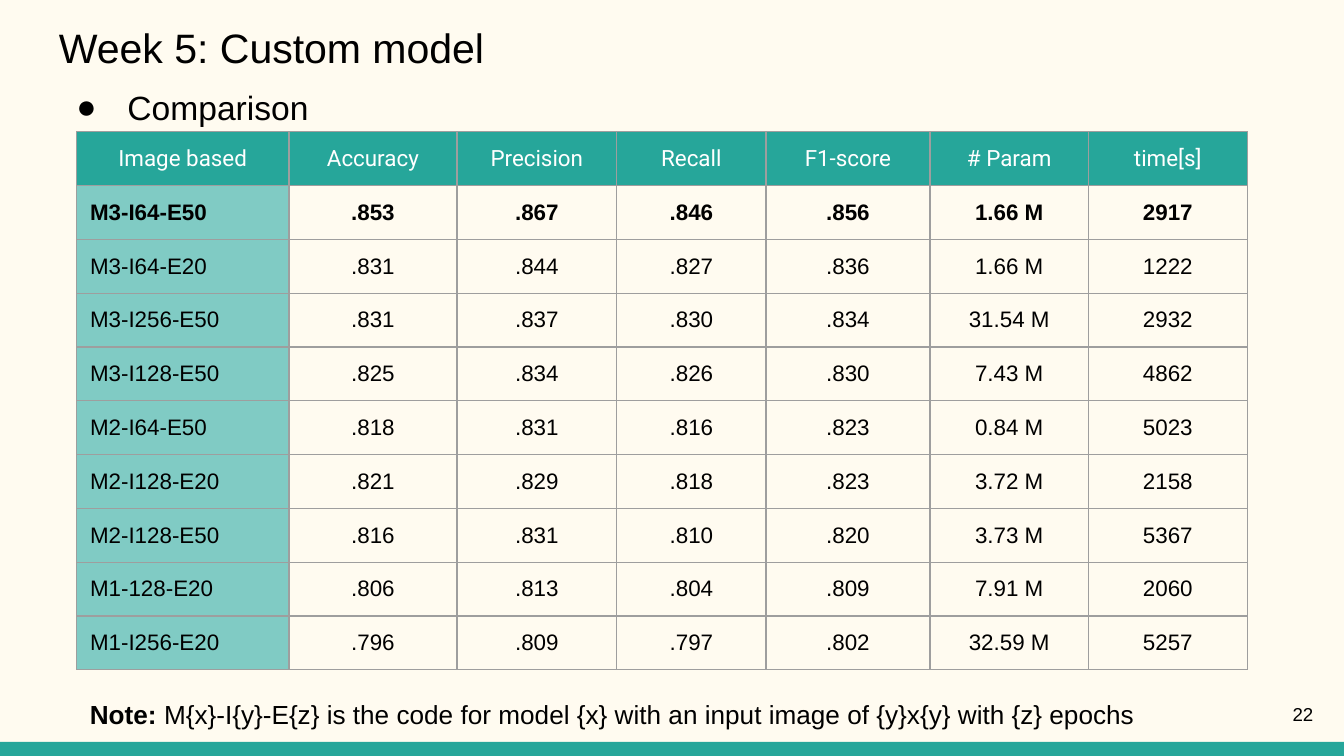
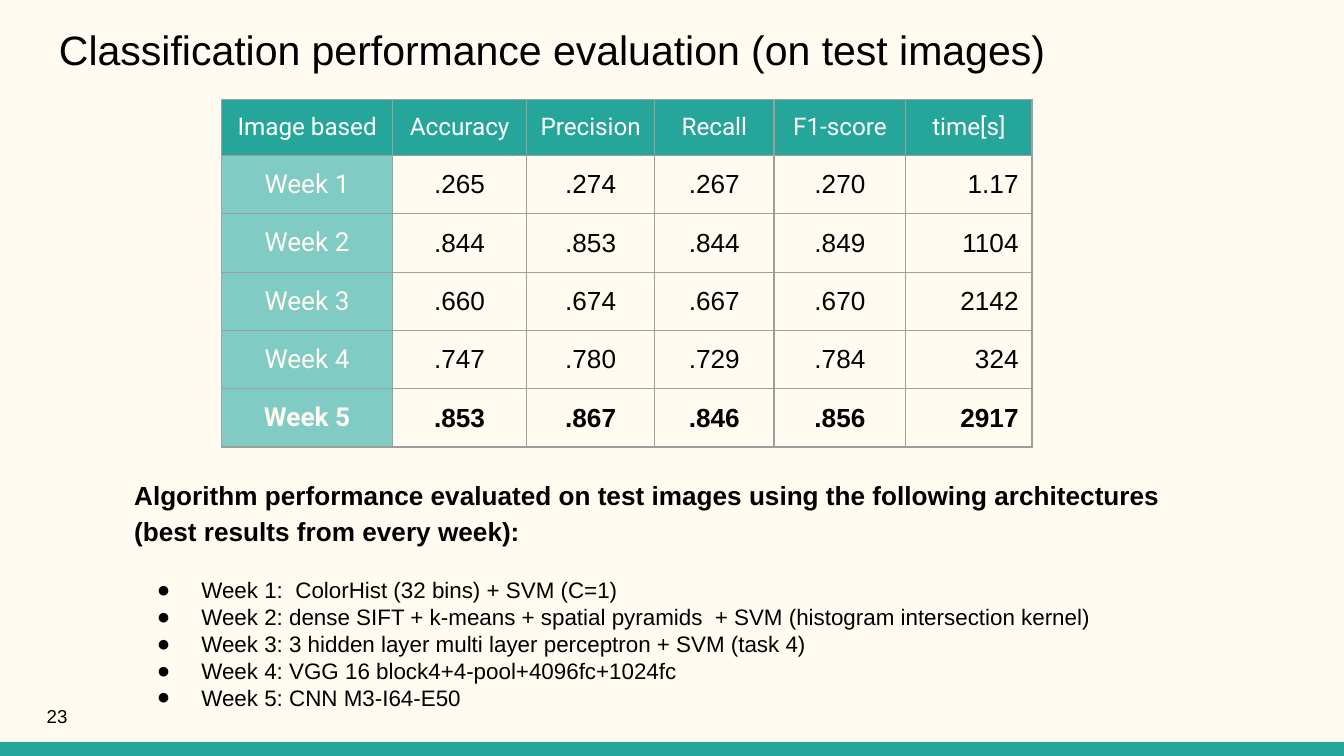
from lxml import etree
from pptx import Presentation
from pptx.dml.color import RGBColor
from pptx.enum.shapes import MSO_SHAPE
from pptx.enum.text import MSO_ANCHOR, PP_ALIGN
from pptx.oxml.ns import qn
from pptx.util import Inches, Pt

RECT = MSO_SHAPE.RECTANGLE
TOP, MIDDLE = MSO_ANCHOR.TOP, MSO_ANCHOR.MIDDLE
LEFT, CENTER, RIGHT = PP_ALIGN.LEFT, PP_ALIGN.CENTER, PP_ALIGN.RIGHT

CREAM, TEAL, MINT = "FFFBF0", "26A69A", "80CBC4"
BLACK, WHITE, GRAY = "000000", "FFFFFF", "9E9E9E"
SANS, HEAD = "Arial", "Roboto"


def color(code):
    return RGBColor.from_string(code)


class Deck:
    """Holds the shared style and the current slide."""

    def __init__(self):
        self.prs = Presentation()
        self.prs.slide_width = Inches(10)
        self.prs.slide_height = Inches(10) * 9 // 16
        self.slide = None

    def start(self, title, top, height, number, left, base):
        """Add a slide with background, band, title and page number."""
        self.slide = self.prs.slides.add_slide(self.prs.slide_layouts[6])
        fill = self.slide.background.fill
        fill.solid()
        fill.fore_color.rgb = color(CREAM)
        self.band()
        self.line(self.box(0.34, top, 9.32, height), [(title, False)], 22)
        page = self.box(left, base, 0.6, 0.43, MIDDLE)
        self.line(page, [(number, False)], 10, align=RIGHT)

    def band(self):
        bar = self.slide.shapes.add_shape(
            RECT, 0, Inches(5.52), Inches(10), Inches(0.11))
        bar.shadow.inherit = False
        bar.fill.solid()
        bar.fill.fore_color.rgb = color(TEAL)
        bar.line.fill.background()

    def box(self, left, top, width, height, anchor=TOP):
        shape = self.slide.shapes.add_textbox(
            Inches(left), Inches(top), Inches(width), Inches(height))
        frame = shape.text_frame
        frame.word_wrap = True
        frame.vertical_anchor = anchor
        self.inset(frame)
        return frame

    def inset(self, item):
        item.margin_left = item.margin_right = Inches(0.1)
        item.margin_top = item.margin_bottom = Inches(0.1)

    def line(self, frame, runs, size, align=LEFT, font=SANS, ink=BLACK):
        """Fill the first paragraph if it is free, else add one."""
        para = frame.paragraphs[0]
        if para.runs:
            para = frame.add_paragraph()
        para.alignment = align
        for text, bold in runs:
            run = para.add_run()
            run.text = text
            run.font.size = Pt(size)
            run.font.name = font
            run.font.bold = bold
            run.font.color.rgb = color(ink)
        return para

    def bullet(self, frame, text, size, hang):
        para = self.line(frame, [(text, False)], size)
        props = para._p.get_or_add_pPr()
        props.set("marL", str(Inches(0.5)))
        props.set("indent", str(-Inches(hang)))
        tint = etree.SubElement(props, qn("a:buClr"))
        etree.SubElement(tint, qn("a:srgbClr"), val=BLACK)
        etree.SubElement(props, qn("a:buFont"), typeface=SANS)
        etree.SubElement(props, qn("a:buChar"), char="●")
        return para

    def border(self, cell):
        props = cell._tc.get_or_add_tcPr()
        for side in ("lnL", "lnR", "lnT", "lnB"):
            edge = etree.SubElement(props, qn("a:" + side), w=str(Pt(0.75)))
            fill = etree.SubElement(edge, qn("a:solidFill"))
            etree.SubElement(fill, qn("a:srgbClr"), val=GRAY)

    def cell(self, cell, text, fill=None, bold=False, **style):
        self.inset(cell)
        cell.vertical_anchor = MIDDLE
        self.border(cell)
        if fill:
            cell.fill.solid()
            cell.fill.fore_color.rgb = color(fill)
        else:
            cell.fill.background()
        self.line(cell.text_frame, [(text, bold)], **style)

    def table(self, left, top, widths, heights, rows, best, head, label, last, size):
        """Draw a grid: teal header, mint labels, one bold row."""
        grid = self.slide.shapes.add_table(
            len(rows), len(widths), Inches(left), Inches(top),
            Inches(sum(widths)), Inches(sum(heights))).table
        grid.first_row = grid.horz_banding = False
        for col, width in zip(grid.columns, widths):
            col.width = Inches(width)
        for row, height in zip(grid.rows, heights):
            row.height = Inches(height)
        for r, row in enumerate(rows):
            for c, text in enumerate(row):
                if r == 0:
                    style = dict(fill=TEAL, size=head, align=CENTER,
                                 font=HEAD, ink=WHITE)
                elif c == 0:
                    style = dict(fill=MINT, size=size, **label)
                else:
                    end = c == len(row) - 1
                    style = dict(size=size, align=last if end else CENTER)
                self.cell(grid.cell(r, c), text, bold=r == best, **style)


MODELS = [
    ["Image based", "Accuracy", "Precision", "Recall", "F1-score", "# Param", "time[s]"],
    ["M3-I64-E50", ".853", ".867", ".846", ".856", "1.66 M", "2917"],
    ["M3-I64-E20", ".831", ".844", ".827", ".836", "1.66 M", "1222"],
    ["M3-I256-E50", ".831", ".837", ".830", ".834", "31.54 M", "2932"],
    ["M3-I128-E50", ".825", ".834", ".826", ".830", "7.43 M", "4862"],
    ["M2-I64-E50", ".818", ".831", ".816", ".823", "0.84 M", "5023"],
    ["M2-I128-E20", ".821", ".829", ".818", ".823", "3.72 M", "2158"],
    ["M2-I128-E50", ".816", ".831", ".810", ".820", "3.73 M", "5367"],
    ["M1-128-E20", ".806", ".813", ".804", ".809", "7.91 M", "2060"],
    ["M1-I256-E20", ".796", ".809", ".797", ".802", "32.59 M", "5257"],
]

WEEKS = [
    ["Image based", "Accuracy", "Precision", "Recall", "F1-score", "time[s]"],
    ["Week 1", ".265", ".274", ".267", ".270", "1.17"],
    ["Week 2", ".844", ".853", ".844", ".849", "1104"],
    ["Week 3", ".660", ".674", ".667", ".670", "2142"],
    ["Week 4", ".747", ".780", ".729", ".784", "324"],
    ["Week 5", ".853", ".867", ".846", ".856", "2917"],
]

METHODS = [
    "Week 1:  ColorHist (32 bins) + SVM (C=1)",
    "Week 2: dense SIFT + k-means + spatial pyramids  + SVM (histogram intersection kernel)",
    "Week 3: 3 hidden layer multi layer perceptron + SVM (task 4)",
    "Week 4: VGG 16 block4+4-pool+4096fc+1024fc",
    "Week 5: CNN M3-I64-E50",
]


def compare(deck):
    deck.start("Week 5: Custom model", 0.07, 0.67, "22", 9.27, 5.1)
    # Heading
    body = deck.box(0.35, 0.5, 9.32, 4.48)
    deck.bullet(body, "Comparison", 18, 0.38).line_spacing = 1.15
    # Model scores
    deck.table(0.57, 0.98, [1.58, 1.25, 1.19, 1.11, 1.22, 1.18, 1.18],
               [0.21] + [0.4] * (len(MODELS) - 1), MODELS, best=1, head=12,
               label=dict(align=LEFT), last=CENTER, size=12)
    # Key to the model codes
    note = deck.box(0.57, 5.1, 8.7, 0.55)
    deck.line(note, [
        ("Note:", True),
        (" M{x}-I{y}-E{z} is the code for model {x} with an input image of "
         "{y}x{y} with {z} epochs", False)], 14)


def review(deck):
    deck.start("Classification performance evaluation (on test images)",
               0.08, 0.91, "23", 0, 5.11)
    # Methods by week
    body = deck.box(0.9, 3.43, 8.2, 1.94)
    lead = ("Algorithm performance evaluated on test images using the "
            "following architectures (best results from every week):")
    deck.line(body, [(lead, True)], 14).line_spacing = 1.15
    for i, text in enumerate(METHODS):
        para = deck.bullet(body, text, 12, 0.33)
        if i == 0:
            para.space_before = Pt(16)
    # Best scores by week; rows grow to fit their text
    deck.table(1.65, 0.74, [1.27, 1, 0.95, 0.89, 0.98, 0.94],
               [0.27, 0.27, 0.38, 0.27, 0.27, 0.27], WEEKS, best=5, head=13,
               label=dict(align=CENTER, font=HEAD, ink=CREAM),
               last=RIGHT, size=14)


def main():
    deck = Deck()
    compare(deck)
    review(deck)
    deck.prs.save("out.pptx")


if __name__ == "__main__":
    main()
